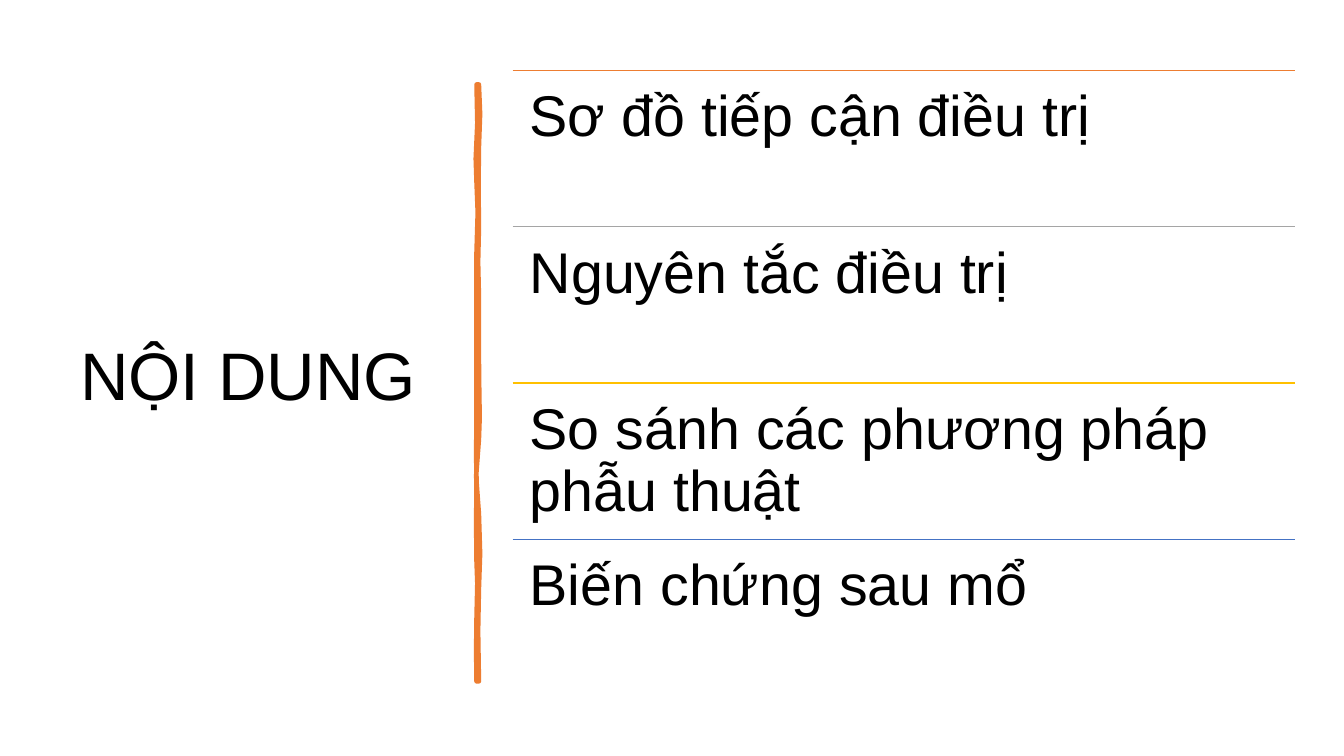
import dataclasses

import lxml.etree
import pptx
import pptx.dml.color
import pptx.enum.shapes
import pptx.enum.text
import pptx.oxml.ns
import pptx.util

Cm = pptx.util.Cm

COLORS = {
    "text": "000000",
    "orange": "ED7D31",
    "gray": "A5A5A5",
    "gold": "FFC000",
    "blue": "4472C4",
}
FONT = "Arial"

TOPIC_LEFT, TOPIC_TOP = 12.92, 1.77
TOPIC_WIDTH, TOPIC_HEIGHT = 19.72, 3.94
TOPIC_INSET = 0.43


@dataclasses.dataclass(frozen=True)
class Topic:
    text: str
    color: str


TOPICS = [
    Topic("Sơ đồ tiếp cận điều trị", "orange"),
    Topic("Nguyên tắc điều trị", "gray"),
    Topic("So sánh các phương pháp phẫu thuật", "gold"),
    Topic("Biến chứng sau mổ", "blue"),
]

# Outline of the stroke in cm: down the right edge, then up the left edge.
BRUSH_OUTLINE = [
    (12.07, 2.13), (12.1, 2.87), (12.07, 3.71), (12.06, 4.69), (12.07, 5.74),
    (12.05, 6.6), (12.07, 7.47), (12.07, 8.43), (12.07, 9.04), (12.08, 9.98),
    (12.09, 10.5), (12.07, 11.07), (12, 12), (12.07, 12.95), (12.1, 13.95),
    (12.07, 14.83), (12.05, 15.9), (12.07, 17.17), (12.01, 17.17),
    (12, 16.4), (12.01, 15.57), (12.03, 14.7), (12.01, 14.15),
    (12, 13.2), (12.01, 12.12), (12, 11.4), (12.01, 10.54),
    (12.01, 9.6), (12.01, 8.51), (12.01, 7.4), (12.01, 6.35),
    (12.04, 5.35), (12.01, 4.6), (11.99, 4), (12.03, 3.1), (12.01, 2.13),
]


def rgb(name: str) -> pptx.dml.color.RGBColor:
    return pptx.dml.color.RGBColor.from_string(COLORS[name])


def add_text(page, text: str, left: float, top: float, width: float, height: float,
             size: float, anchor, inset: float | None = None) -> None:
    box = page.shapes.add_textbox(Cm(left), Cm(top), Cm(width), Cm(height))
    frame = box.text_frame
    frame.word_wrap = True
    frame.vertical_anchor = anchor
    if inset is not None:
        frame.margin_left = frame.margin_right = Cm(inset)
        frame.margin_top = frame.margin_bottom = Cm(inset)
    para = frame.paragraphs[0]
    para.line_spacing = 0.9
    span = para.add_run()
    span.text = text
    span.font.name = FONT
    span.font.size = pptx.util.Pt(size)
    span.font.color.rgb = rgb("text")


def add_rule(page, left: float, top: float, width: float, color: str) -> None:
    rule = page.shapes.add_connector(
        pptx.enum.shapes.MSO_CONNECTOR.STRAIGHT,
        Cm(left), Cm(top), Cm(left + width), Cm(top))
    rule.line.color.rgb = rgb(color)
    rule.line.width = pptx.util.Pt(1)
    properties = rule._element.spPr
    lxml.etree.SubElement(properties, pptx.oxml.ns.qn("a:effectLst"))


def add_brush_stroke(page) -> None:
    start, *rest = [(Cm(x), Cm(y)) for x, y in BRUSH_OUTLINE]
    builder = page.shapes.build_freeform(*start)
    builder.add_line_segments(rest, close=True)
    stroke = builder.convert_to_shape()
    stroke.shadow.inherit = False
    stroke.fill.solid()
    stroke.fill.fore_color.rgb = rgb("orange")
    stroke.line.color.rgb = rgb("orange")
    stroke.line.width = pptx.util.Pt(3.25)
    outline = stroke._element.spPr.find(pptx.oxml.ns.qn("a:ln"))
    lxml.etree.SubElement(outline, pptx.oxml.ns.qn("a:round"))


def main() -> None:
    deck = pptx.Presentation()
    deck.slide_width, deck.slide_height = Cm(33.87), Cm(19.05)
    page = deck.slides.add_slide(deck.slide_layouts[6])
    anchors = pptx.enum.text.MSO_ANCHOR

    add_text(page, "NỘI DUNG", 1.77, 1.78, 9.5, 15.52, 48, anchors.MIDDLE)
    add_brush_stroke(page)
    for index, topic in enumerate(TOPICS):
        top = TOPIC_TOP + index * TOPIC_HEIGHT
        add_rule(page, TOPIC_LEFT, top, TOPIC_WIDTH, topic.color)
        add_text(page, topic.text, TOPIC_LEFT, top, TOPIC_WIDTH, TOPIC_HEIGHT,
                 41, anchors.TOP, TOPIC_INSET)
    deck.save("out.pptx")


if __name__ == "__main__":
    main()
